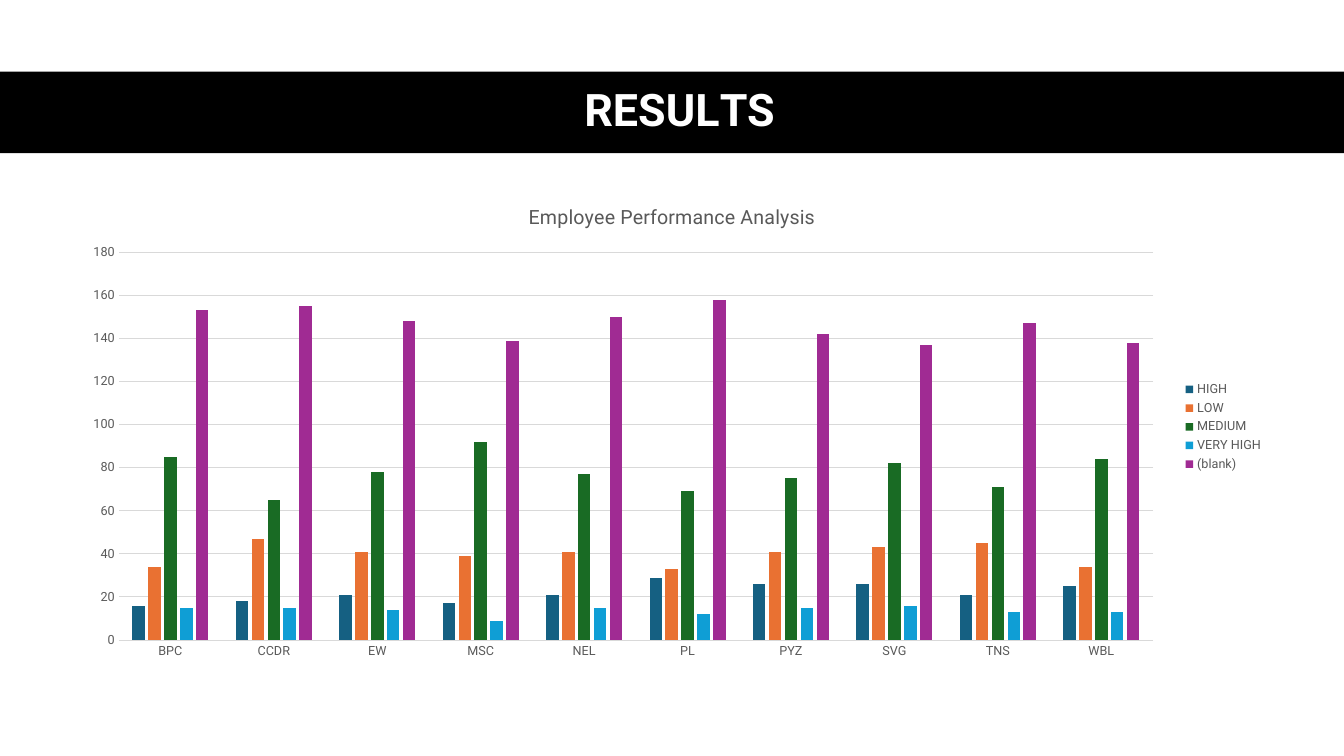
from dataclasses import dataclass

from pptx import Presentation
from pptx.chart import data as chart_data
from pptx.dml.color import RGBColor
from pptx.enum import chart as charts, shapes, text
from pptx.oxml import parse_xml
from pptx.oxml.ns import nsdecls
from pptx.util import Inches, Pt


@dataclass(frozen=True)
class Theme:
    font: str = "Roboto"
    band: str = "000000"
    heading: str = "FFFFFF"
    label: str = "595959"
    grid: str = "D9D9D9"
    heading_size: float = 32
    chart_title_size: float = 14
    label_size: float = 9
    line_width: float = 0.75


@dataclass(frozen=True)
class Rating:
    name: str
    color: str
    counts: tuple[int, ...]


@dataclass(frozen=True)
class Letters:
    text: str
    spacing: float  # points


THEME = Theme()
UNITS = ("BPC", "CCDR", "EW", "MSC", "NEL", "PL", "PYZ", "SVG", "TNS", "WBL")
RATINGS = (
    Rating("HIGH", "156082", (16, 18, 21, 17, 21, 29, 26, 26, 21, 25)),
    Rating("LOW", "E97132", (34, 47, 41, 39, 41, 33, 41, 43, 45, 34)),
    Rating("MEDIUM", "196B24", (85, 65, 78, 92, 77, 69, 75, 82, 71, 84)),
    Rating("VERY HIGH", "0F9ED5", (15, 15, 14, 9, 15, 12, 15, 16, 13, 13)),
    Rating("(blank)", "A02B93", (153, 155, 148, 139, 150, 158, 142, 137, 147, 138)),
)
HEADING = (
    Letters("R", 0), Letters("E", -0.4), Letters("S", 0.1),
    Letters("U", -0.3), Letters("L", -4), Letters("TS", 0),
)
PLOT_AREA = {"x": 0.04, "y": 0.14, "w": 0.86, "h": 0.8}


def style_font(font, size: float, color: str, bold: bool = False) -> None:
    font.name = THEME.font
    font.size = Pt(size)
    font.bold = bold
    font.color.rgb = RGBColor.from_string(color)


def style_line(line) -> None:
    line.color.rgb = RGBColor.from_string(THEME.grid)
    line.width = Pt(THEME.line_width)


def add_band(slide) -> None:
    band = slide.shapes.add_shape(
        shapes.MSO_SHAPE.RECTANGLE, 0, Inches(0.71), Inches(13.33), Inches(0.81))
    band.shadow.inherit = False
    band.fill.solid()
    band.fill.fore_color.rgb = RGBColor.from_string(THEME.band)
    band.line.fill.background()


def set_heading(slide) -> None:
    """Format the title and bring it in front of the band."""
    title = slide.shapes.title
    title.left, title.top = Inches(0.61), Inches(0.7)
    title.width, title.height = Inches(12.26), Inches(0.81)
    slide.shapes._spTree.append(title._element)
    tf = title.text_frame
    tf.margin_left = tf.margin_right = tf.margin_bottom = 0
    tf.margin_top = Inches(0.01)
    tf.word_wrap = True
    tf.auto_size = text.MSO_AUTO_SIZE.NONE
    tf.vertical_anchor = text.MSO_ANCHOR.MIDDLE
    p = tf.paragraphs[0]
    p.alignment = text.PP_ALIGN.CENTER
    p.line_spacing = 0.9
    p.space_before = Pt(1.1)
    for letters in HEADING:
        r = p.add_run()
        r.text = letters.text
        style_font(r.font, THEME.heading_size, THEME.heading, bold=True)
        r.font._element.set("spc", str(round(letters.spacing * 100)))


def place_plot_area(chart) -> None:
    """Fix the inner plot area as fractions of the chart frame."""
    sizes = "".join(f'<c:{key} val="{value}"/>' for key, value in PLOT_AREA.items())
    layout = parse_xml(
        f'<c:layout {nsdecls("c")}><c:manualLayout><c:layoutTarget val="inner"/>'
        f'<c:xMode val="edge"/><c:yMode val="edge"/>{sizes}</c:manualLayout></c:layout>')
    plot_area = chart._chartSpace.chart.plotArea
    for old in plot_area.findall(layout.tag):
        plot_area.remove(old)
    plot_area.insert(0, layout)


def style_axes(chart) -> None:
    for axis in (chart.category_axis, chart.value_axis):
        axis.major_tick_mark = axis.minor_tick_mark = charts.XL_TICK_MARK.NONE
        style_font(axis.tick_labels.font, THEME.label_size, THEME.label)
    style_line(chart.category_axis.format.line)
    value_axis = chart.value_axis
    value_axis.minimum_scale, value_axis.maximum_scale = 0, 180
    value_axis.major_unit = 20
    value_axis.format.line.fill.background()
    value_axis.has_major_gridlines = True
    style_line(value_axis.major_gridlines.format.line)


def add_performance_chart(slide) -> None:
    data = chart_data.CategoryChartData()
    data.categories = UNITS
    for rating in RATINGS:
        data.add_series(rating.name, rating.counts)
    chart = slide.shapes.add_chart(
        charts.XL_CHART_TYPE.COLUMN_CLUSTERED,
        Inches(0.7), Inches(1.83), Inches(11.93), Inches(4.81), data).chart
    style_font(chart.font, THEME.label_size, THEME.label)

    chart.has_title = True
    r = chart.chart_title.text_frame.paragraphs[0].add_run()
    r.text = "Employee Performance Analysis"
    style_font(r.font, THEME.chart_title_size, THEME.label)
    chart.chart_title.include_in_layout = False

    chart.has_legend = True
    chart.legend.position = charts.XL_LEGEND_POSITION.RIGHT
    chart.legend.include_in_layout = False
    style_font(chart.legend.font, THEME.label_size, THEME.label)

    plot = chart.plots[0]
    plot.gap_width, plot.overlap = 219, -27
    plot.vary_by_categories = False
    for series, rating in zip(plot.series, RATINGS):
        series.format.fill.solid()
        series.format.fill.fore_color.rgb = RGBColor.from_string(rating.color)
    style_axes(chart)
    place_plot_area(chart)


def main() -> None:
    prs = Presentation()
    prs.slide_width, prs.slide_height = Inches(13.33), Inches(7.5)
    slide = prs.slides.add_slide(prs.slide_layouts.get_by_name("Title Only"))
    add_band(slide)
    set_heading(slide)
    add_performance_chart(slide)
    prs.save("out.pptx")


if __name__ == "__main__":
    main()
